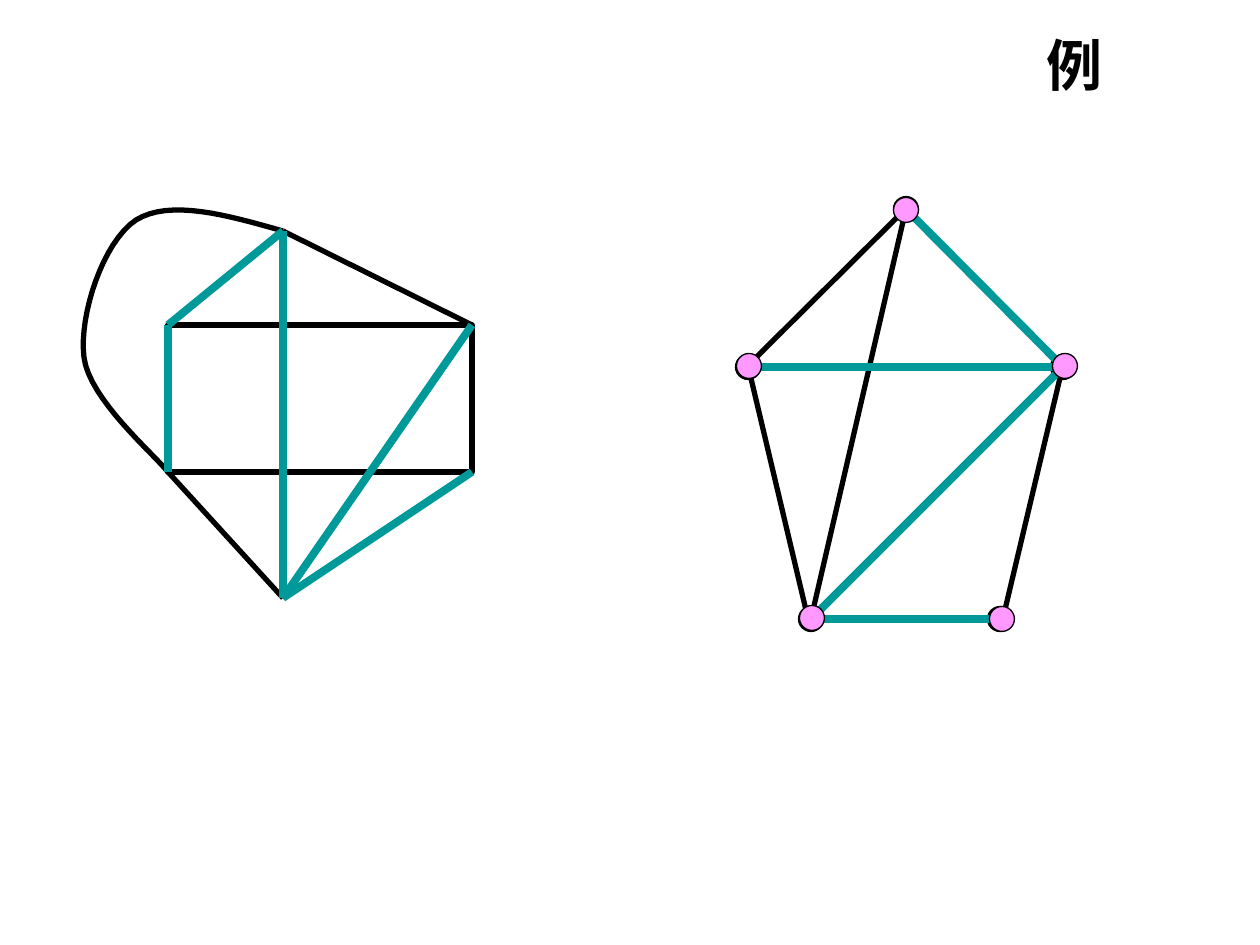
from lxml.etree import SubElement
from pptx import Presentation
from pptx.dml.color import RGBColor
from pptx.enum.shapes import MSO_CONNECTOR, MSO_SHAPE
from pptx.enum.text import MSO_ANCHOR, PP_ALIGN
from pptx.oxml.ns import qn
from pptx.util import Pt

PX = 914400 / 126
COLORS = {"edge": "000000", "tree": "009999", "node": "FF99FF"}
EDGE_WIDTH, TREE_WIDTH, RIM_WIDTH = 3, 4.5, 0.75

TITLE = "例"
TITLE_BOX = (272, 35, 843, 58)

HOUSE = {
    "top": (283, 231), "upper_left": (168, 325), "upper_right": (472, 325),
    "lower_left": (168, 472), "lower_right": (472, 472), "bottom": (283, 598),
}
HOUSE_EDGES = [
    ("top", "bottom"), ("top", "upper_left"), ("top", "upper_right"),
    ("lower_left", "bottom"), ("lower_right", "bottom"), ("upper_right", "bottom"),
]
HOUSE_TREE = [
    ("top", "upper_left"), ("top", "bottom"), ("upper_left", "lower_left"),
    ("bottom", "lower_right"), ("upper_right", "bottom"),
]
OUTER_ARC = [
    [(283, 231), (227, 215), (170, 199), (136, 220)],
    [(136, 220), (103, 242), (79, 315), (84, 357)],
    [(84, 357), (89, 399), (154, 454), (168, 472)],
]
ARC_STEPS = 16

PENTAGON = {
    "top": (906, 209), "left": (748, 367), "right": (1063, 367),
    "bottom_left": (811, 619), "bottom_right": (1000, 619),
}
PENTAGON_EDGES = [("left", "right"), ("top", "bottom_left"), ("bottom_left", "right")]
PENTAGON_TREE = [
    ("top", "right"), ("left", "right"),
    ("right", "bottom_left"), ("bottom_left", "bottom_right"),
]
NODE_CENTRES = [(906, 210), (749, 366), (1065, 366), (812, 618), (1002, 619)]
DOT_SIZE, NODE_SIZE = 21, 25


def emu(*lengths):
    return [round(length * PX) for length in lengths]


def rgb(name):
    return RGBColor.from_string(COLORS[name])


def style(shape, width, fill=None):
    shape.shadow.inherit = False
    shape.line.color.rgb = rgb("edge")
    shape.line.width = Pt(width)
    if fill:
        shape.fill.solid()
        shape.fill.fore_color.rgb = rgb(fill)
    else:
        shape.fill.background()


def add_edges(shapes, vertices, edges, color, width):
    for start, end in edges:
        edge = shapes.add_connector(
            MSO_CONNECTOR.STRAIGHT, *emu(*vertices[start], *vertices[end]))
        edge.line.color.rgb = rgb(color)
        edge.line.width = Pt(width)
        SubElement(edge._element.spPr, qn("a:effectLst"))


def add_outline(shapes, preset, corners):
    left, top, right, bottom = corners
    outline = shapes.add_shape(preset, *emu(left, top, right - left, bottom - top))
    style(outline, EDGE_WIDTH)


def add_circles(shapes, centres, size, fill, width):
    for x, y in centres:
        circle = shapes.add_shape(
            MSO_SHAPE.OVAL, *emu(x - size / 2, y - size / 2, size, size))
        style(circle, width, fill)


def curve_point(curve, t):
    weights = [(1 - t) ** 3, 3 * t * (1 - t) ** 2, 3 * t ** 2 * (1 - t), t ** 3]
    return tuple(sum(w * p[axis] for w, p in zip(weights, curve)) for axis in (0, 1))


def add_arc(shapes, curves):
    points = [emu(*curve_point(curve, step / ARC_STEPS))
              for curve in curves for step in range(1, ARC_STEPS + 1)]
    builder = shapes.build_freeform(*emu(*curves[0][0]), scale=1.0)
    builder.add_line_segments(points, close=False)
    style(builder.convert_to_shape(), EDGE_WIDTH)


def add_title(shapes):
    frame = shapes.add_textbox(*emu(*TITLE_BOX)).text_frame
    frame.word_wrap = True
    frame.vertical_anchor = MSO_ANCHOR.MIDDLE
    heading = frame.paragraphs[0]
    heading.text = TITLE
    heading.alignment = PP_ALIGN.RIGHT
    heading.font.name = "Arial"
    heading.font.size = Pt(32)
    heading.font.bold = True
    heading.font.color.rgb = rgb("edge")


def main():
    deck = Presentation()
    deck.slide_width, deck.slide_height = emu(1260, 945)
    shapes = deck.slides.add_slide(deck.slide_layouts[6]).shapes
    add_title(shapes)

    house = shapes.add_group_shape().shapes
    add_outline(house, MSO_SHAPE.RECTANGLE, HOUSE["upper_left"] + HOUSE["lower_right"])
    add_edges(house, HOUSE, HOUSE_EDGES, "edge", EDGE_WIDTH)
    add_arc(house, OUTER_ARC)
    add_edges(shapes, HOUSE, HOUSE_TREE, "tree", TREE_WIDTH)

    pentagon = shapes.add_group_shape().shapes
    corners = (PENTAGON["left"][0], PENTAGON["top"][1],
               PENTAGON["right"][0], PENTAGON["bottom_left"][1])
    add_outline(pentagon, MSO_SHAPE.REGULAR_PENTAGON, corners)
    add_circles(pentagon, PENTAGON.values(), DOT_SIZE, "edge", EDGE_WIDTH)
    add_edges(pentagon, PENTAGON, PENTAGON_EDGES, "edge", EDGE_WIDTH)
    add_edges(shapes, PENTAGON, PENTAGON_TREE, "tree", TREE_WIDTH)
    add_circles(shapes, NODE_CENTRES, NODE_SIZE, "node", RIM_WIDTH)

    deck.save("out.pptx")


if __name__ == "__main__":
    main()
